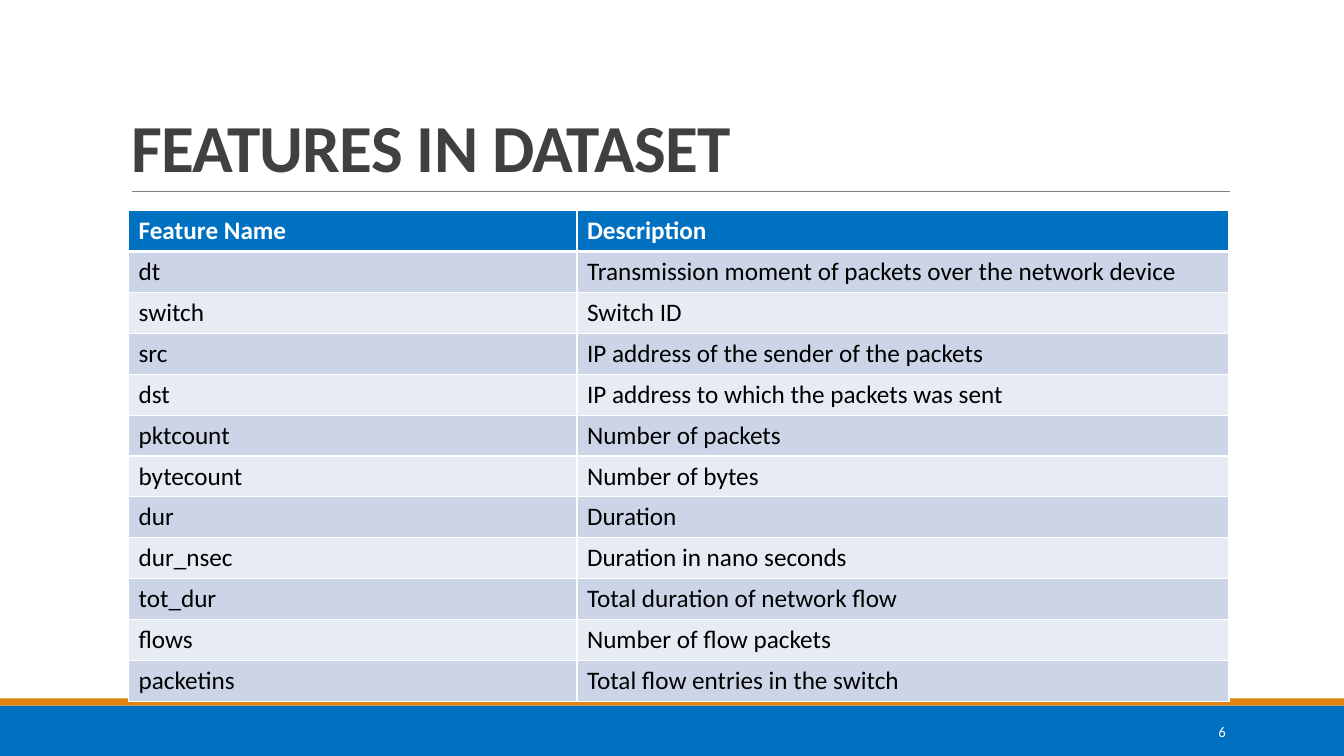
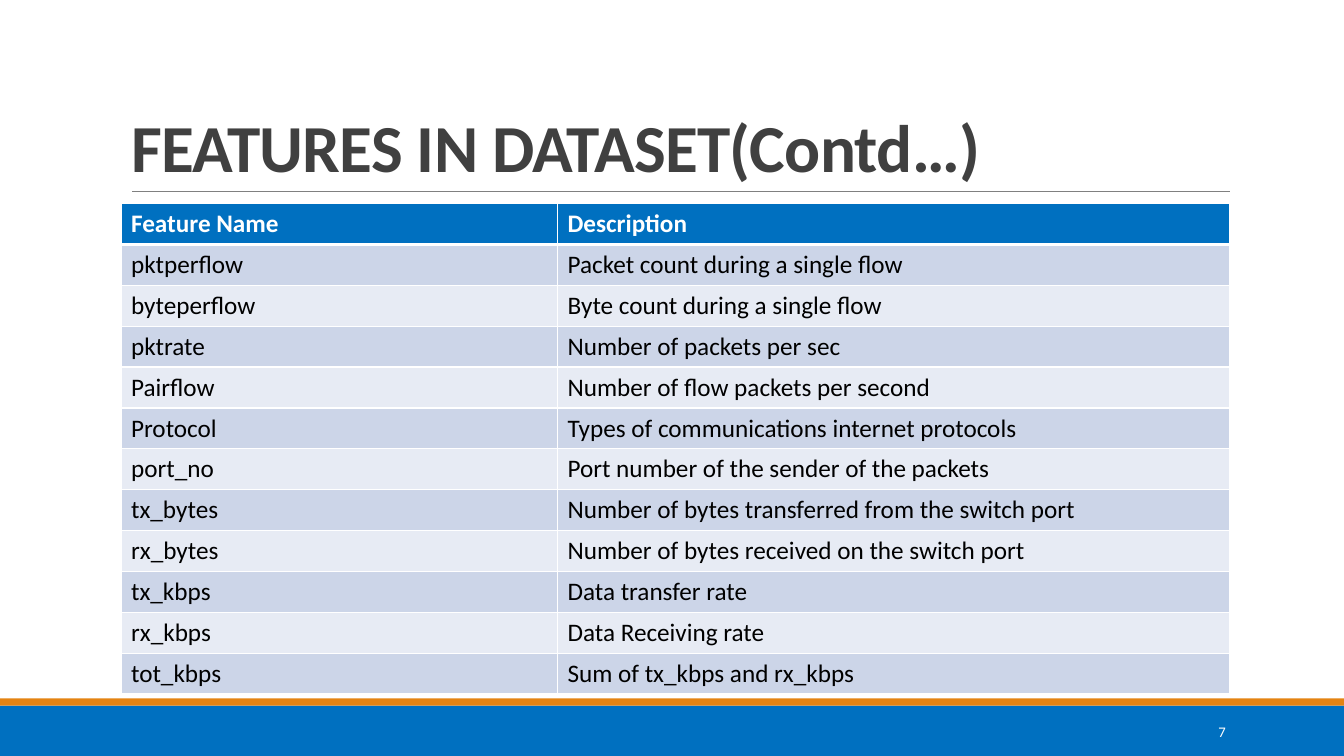
import pptx
import pptx.dml.color
import pptx.enum.shapes
import pptx.enum.text
import pptx.oxml
import pptx.oxml.ns
import pptx.util

Cm = pptx.util.Cm
Pt = pptx.util.Pt
RGBColor = pptx.dml.color.RGBColor
PP_ALIGN = pptx.enum.text.PP_ALIGN
MSO_ANCHOR = pptx.enum.text.MSO_ANCHOR

WHITE = RGBColor(0xFF, 0xFF, 0xFF)
BLACK = RGBColor(0x00, 0x00, 0x00)
BLUE = RGBColor(0x00, 0x70, 0xC0)
ORANGE = RGBColor(0xE4, 0x83, 0x12)
CHARCOAL = RGBColor(0x40, 0x40, 0x40)
GREY = RGBColor(0x80, 0x80, 0x80)
DARK_ROW = RGBColor(0xCC, 0xD5, 0xE8)
LIGHT_ROW = RGBColor(0xE7, 0xEB, 0xF4)

FONT = "Calibri"
HEADINGS = ("Feature Name", "Description")

PACKET_FEATURES = [
    ("dt", "Transmission moment of packets over the network device"),
    ("switch", "Switch ID"),
    ("src", "IP address of the sender of the packets"),
    ("dst", "IP address to which the packets was sent"),
    ("pktcount", "Number of packets"),
    ("bytecount", "Number of bytes"),
    ("dur", "Duration"),
    ("dur_nsec", "Duration in nano seconds"),
    ("tot_dur", "Total duration of network flow"),
    ("flows", "Number of flow packets"),
    ("packetins", "Total flow entries in the switch"),
]

FLOW_FEATURES = [
    ("pktperflow", "Packet count during a single flow"),
    ("byteperflow", "Byte count during a single flow"),
    ("pktrate", "Number of packets per sec"),
    ("Pairflow", "Number of flow packets per second"),
    ("Protocol", "Types of communications internet protocols"),
    ("port_no", "Port number of the sender of the packets"),
    ("tx_bytes", "Number of bytes transferred from the switch port"),
    ("rx_bytes", "Number of bytes received on the switch port"),
    ("tx_kbps", "Data transfer rate"),
    ("rx_kbps", "Data Receiving rate"),
    ("tot_kbps", "Sum of tx_kbps and rx_kbps"),
]


def write(frame, text, size=18, color=BLACK, bold=False, align=PP_ALIGN.LEFT,
          line_spacing=None, tracking=None):
    paragraph = frame.paragraphs[0]
    paragraph.alignment = align
    paragraph.line_spacing = line_spacing
    run = paragraph.add_run()
    run.text = text
    run.font.name = FONT
    run.font.size = Pt(size)
    run.font.bold = bold
    run.font.color.rgb = color
    if tracking is not None:
        run._r.get_or_add_rPr().set("spc", str(round(tracking * 100)))


def set_borders(cell, **widths):
    properties = cell._tc.get_or_add_tcPr()
    for side in "LRTB":
        width = Pt(widths.get(side, 1))
        properties.append(pptx.oxml.parse_xml(
            f'<a:ln{side} {pptx.oxml.ns.nsdecls("a")} w="{width}"><a:solidFill>'
            f'<a:srgbClr val="{WHITE}"/></a:solidFill></a:ln{side}>'))


class Deck:
    WIDTH, HEIGHT = Cm(33.87), Cm(19.05)
    ROW_HEIGHT = Cm(1.03)

    def __init__(self):
        self.presentation = pptx.Presentation()
        self.presentation.slide_width = self.WIDTH
        self.presentation.slide_height = self.HEIGHT
        self.slide = None

    def add_slide(self, title, number):
        layout = self.presentation.slide_layouts[5]
        self.slide = self.presentation.slides.add_slide(layout)
        self.band(Cm(17.78), Cm(1.27), BLUE)
        self.band(Cm(17.6), Cm(0.18), ORANGE)
        self.rule(Cm(3.33), Cm(31), Cm(4.83))
        self.title(title)
        self.page_number(number)

    def band(self, top, height, color):
        band = self.slide.shapes.add_shape(
            pptx.enum.shapes.MSO_SHAPE.RECTANGLE, 0, top, self.WIDTH, height)
        band.shadow.inherit = False
        band.fill.solid()
        band.fill.fore_color.rgb = color
        band.line.fill.background()

    def rule(self, left, right, top):
        rule = self.slide.shapes.add_connector(
            pptx.enum.shapes.MSO_CONNECTOR.STRAIGHT, left, top, right, top)
        rule.line.color.rgb = GREY
        rule.line.width = Pt(0.5)
        rule._element.spPr.append(
            pptx.oxml.parse_xml(f'<a:effectLst {pptx.oxml.ns.nsdecls("a")}/>'))

    def title(self, text):
        title = self.slide.shapes.title
        title.left, title.top = Cm(3.05), Cm(0.79)
        title.width, title.height = Cm(27.94), Cm(4.04)
        frame = title.text_frame
        frame.word_wrap = True
        frame.auto_size = pptx.enum.text.MSO_AUTO_SIZE.NONE
        frame.vertical_anchor = MSO_ANCHOR.BOTTOM
        write(frame, text, size=48, color=CHARCOAL, bold=True,
              line_spacing=0.85, tracking=-0.5)

    def page_number(self, number):
        footer = self.slide.shapes.add_textbox(
            Cm(27.51), Cm(17.93), Cm(3.63), Cm(1.02))
        frame = footer.text_frame
        frame.word_wrap = True
        frame.vertical_anchor = MSO_ANCHOR.MIDDLE
        write(frame, str(number), size=10.5, color=WHITE, align=PP_ALIGN.RIGHT)

    def feature_table(self, features, left, top, column_widths):
        rows = [HEADINGS, *features]
        table = self.slide.shapes.add_table(
            len(rows), len(HEADINGS), left, top,
            sum(column_widths), self.ROW_HEIGHT * len(rows)).table
        for column, width in zip(table.columns, column_widths):
            column.width = width
        for index, values in enumerate(rows):
            table.rows[index].height = self.ROW_HEIGHT
            heading = index == 0
            row_fill = BLUE if heading else DARK_ROW if index % 2 else LIGHT_ROW
            for column, text in enumerate(values):
                cell = table.cell(index, column)
                set_borders(cell, T=3 if index == 1 else 1, B=3 if heading else 1)
                cell.fill.solid()
                cell.fill.fore_color.rgb = row_fill
                write(cell.text_frame, text, bold=heading,
                      color=WHITE if heading else BLACK)


def main():
    deck = Deck()
    deck.add_slide("FEATURES IN DATASET", 6)
    deck.feature_table(PACKET_FEATURES, Cm(3.24), Cm(5.31), (Cm(11.3), Cm(16.43)))
    deck.add_slide("FEATURES IN DATASET(Contd…)", 7)
    deck.feature_table(FLOW_FEATURES, Cm(3.05), Cm(5.13), (Cm(11), Cm(16.94)))
    deck.presentation.save("out.pptx")


if __name__ == "__main__":
    main()
